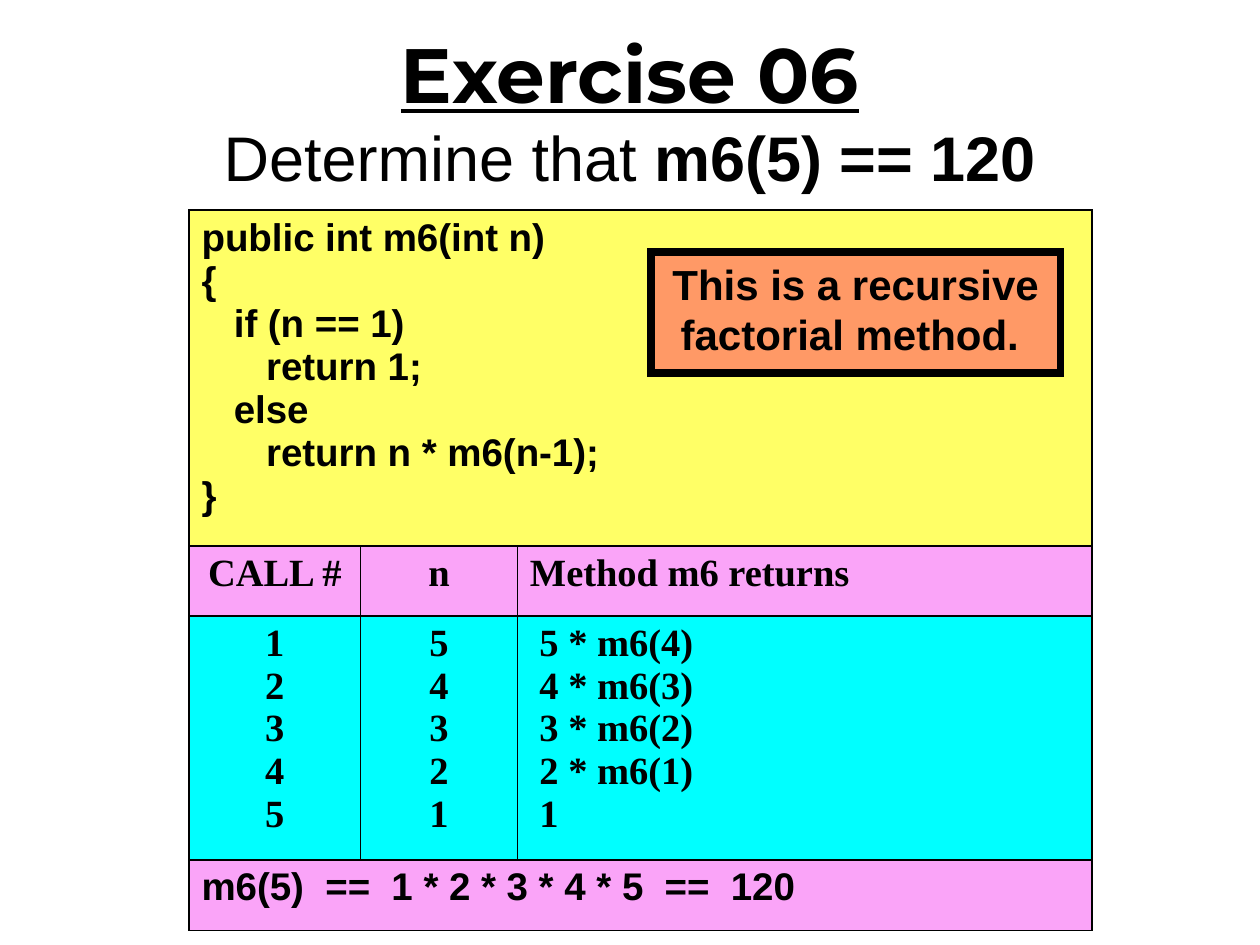
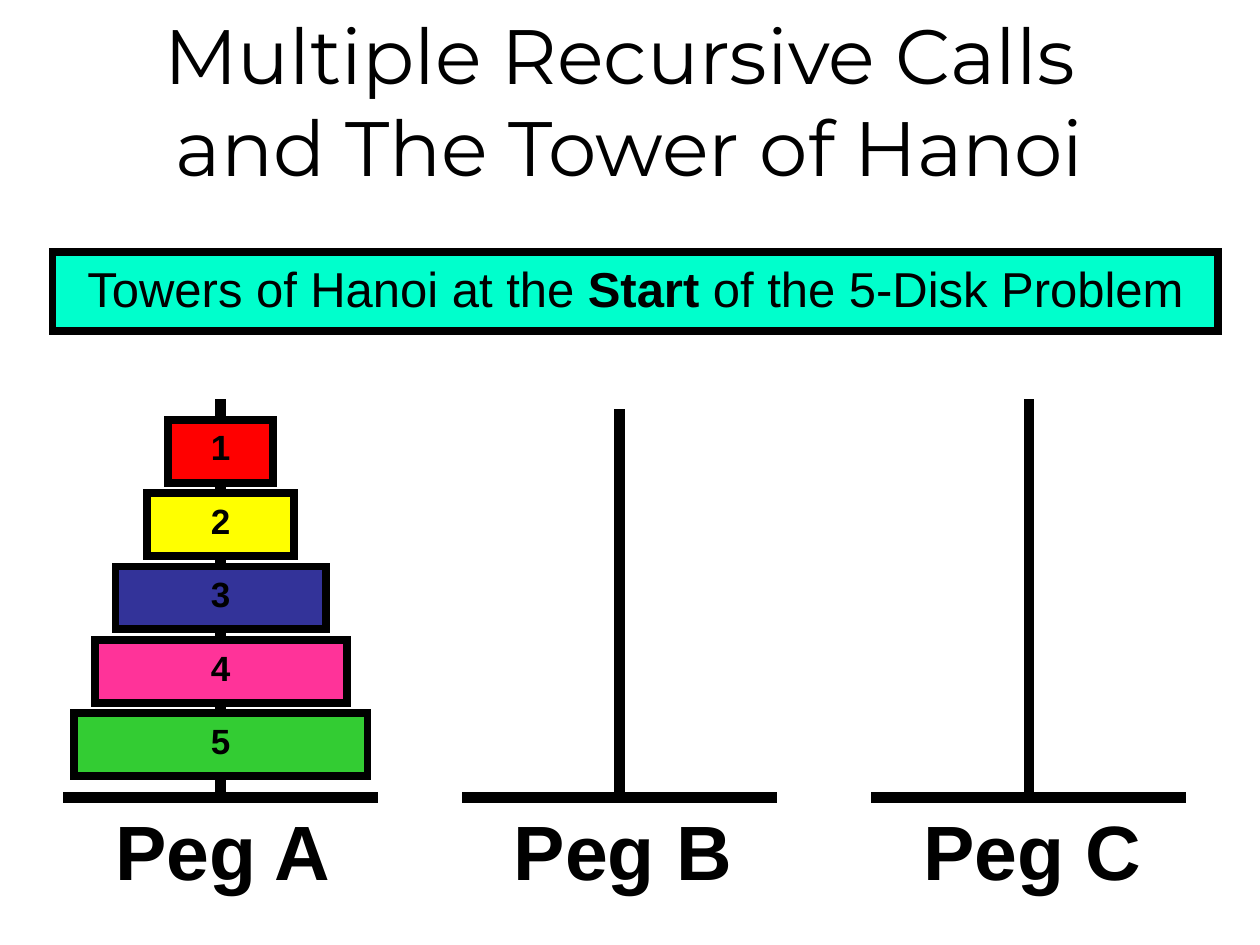
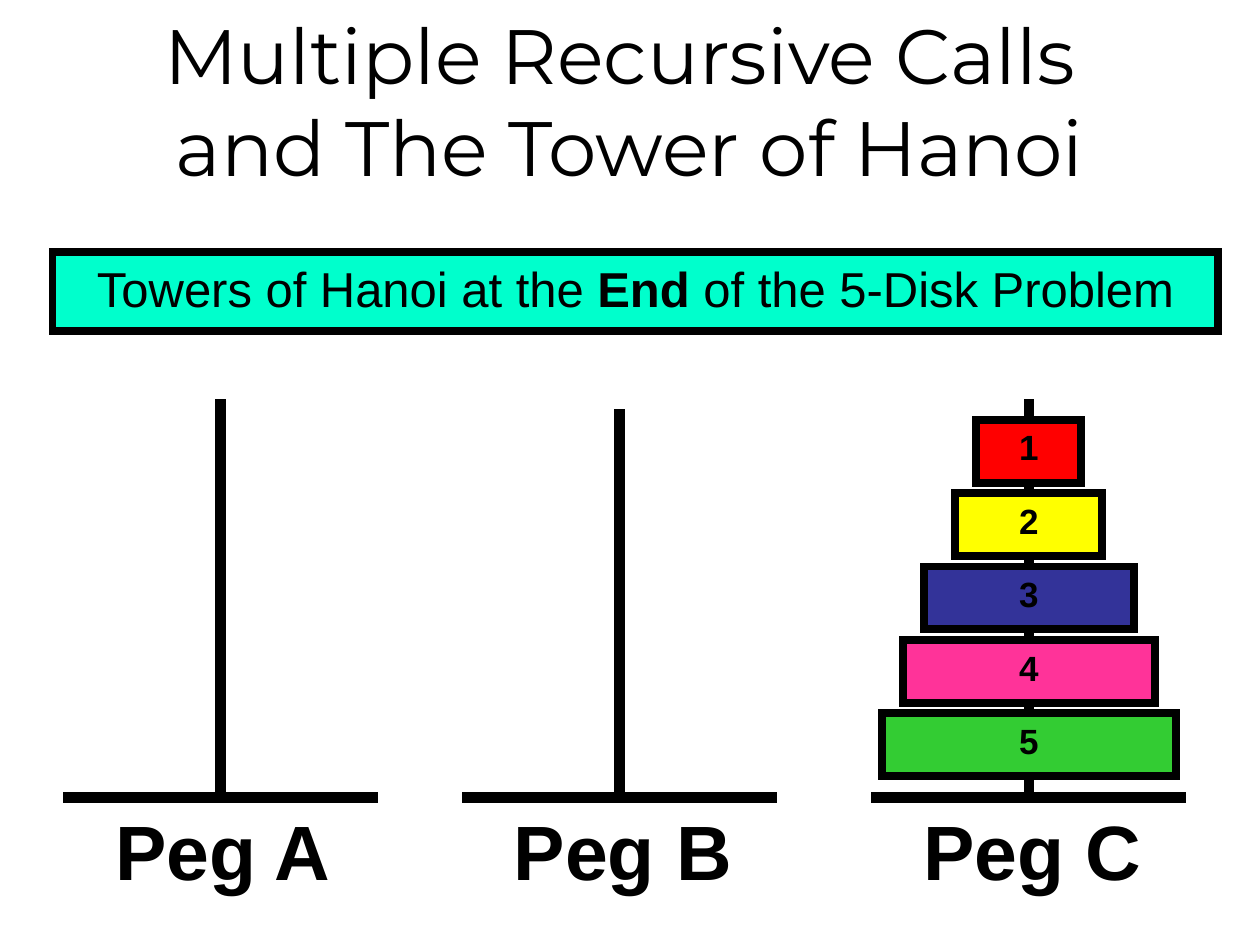
from dataclasses import dataclass

from lxml.etree import SubElement
from pptx import Presentation
from pptx.dml.color import RGBColor
from pptx.enum.shapes import MSO_CONNECTOR, MSO_SHAPE
from pptx.enum.text import MSO_ANCHOR, MSO_AUTO_SIZE, PP_ALIGN
from pptx.oxml import parse_xml
from pptx.oxml.ns import nsdecls, qn
from pptx.util import Cm, Pt


@dataclass(frozen=True)
class Theme:
    title_font: str = "Montserrat"
    body_font: str = "Arial"
    table_font: str = "Times New Roman"
    ink: str = "000000"
    code_fill: str = "FFFF66"
    heading_fill: str = "FAA4F8"
    trace_fill: str = "00FFFF"
    callout_fill: str = "FF9966"
    banner_fill: str = "00FFCC"
    disk_fills: tuple = ("FF0000", "FFFF00", "333399", "FF3399", "33CC33")
    title_size: int = 44
    subtitle_size: int = 36
    banner_size: int = 28
    callout_size: int = 24
    table_size: int = 22
    disk_size: int = 20
    outline: float = 4.5
    peg_line: float = 6
    cell_border: float = 1


THEME = Theme()

CODE_LINES = [
    (0, "public int m6(int n)"),
    (0, "{"),
    (1, "if (n == 1)"),
    (2, "return 1;"),
    (1, "else"),
    (2, "return n * m6(n-1);"),
    (0, "}"),
]
CODE_INDENT = 0.65
RETURNS_INDENT = 0.19

PEG_BASE_Y = 16.08
PEG_BASE_WIDTH = 6.35
PEGS = {"A": (4.45, 8.05), "B": (12.49, 8.25), "C": (20.74, 8.05)}  # centre, top
DISK_WIDTHS = (2.12, 2.96, 4.24, 5.08, 5.92)
DISK_TOP, DISK_STEP, DISK_HEIGHT = 8.46, 1.48, 1.27


def color(value):
    return RGBColor.from_string(value)


def style_font(font, size, name=THEME.body_font, bold=False):
    font.size = Pt(size)
    font.name = name
    font.bold = bold
    font.color.rgb = color(THEME.ink)


def add_runs(paragraph, parts):
    """Add (text, bold) parts whose weight differs within the paragraph."""
    for text, bold in parts:
        run = paragraph.add_run()
        run.text = text
        run.font.bold = bold


def add_title(slide, top):
    """Add the centred title box and return its paragraph."""
    box = slide.shapes.add_textbox(0, Cm(top), Cm(25.4), Cm(3.18))
    frame = box.text_frame
    frame.word_wrap = True
    frame.vertical_anchor = MSO_ANCHOR.MIDDLE
    paragraph = frame.paragraphs[0]
    paragraph.alignment = PP_ALIGN.CENTER
    style_font(paragraph.font, THEME.title_size, THEME.title_font)
    return paragraph


def add_panel(slide, left, top, width, height, fill, size, parts):
    """Add a rectangle with a square-cornered outline and centred text."""
    panel = slide.shapes.add_shape(
        MSO_SHAPE.RECTANGLE, Cm(left), Cm(top), Cm(width), Cm(height))
    panel.shadow.inherit = False
    panel.fill.solid()
    panel.fill.fore_color.rgb = color(fill)
    panel.line.color.rgb = color(THEME.ink)
    panel.line.width = Pt(THEME.outline)
    SubElement(panel._element.spPr.find(qn("a:ln")), qn("a:miter"), lim="800000")
    frame = panel.text_frame
    frame.word_wrap = True
    frame.vertical_anchor = MSO_ANCHOR.TOP
    paragraph = frame.paragraphs[0]
    paragraph.alignment = PP_ALIGN.CENTER
    style_font(paragraph.font, size)
    add_runs(paragraph, parts)


def add_line(slide, start_x, start_y, end_x, end_y):
    line = slide.shapes.add_connector(
        MSO_CONNECTOR.STRAIGHT, Cm(start_x), Cm(start_y), Cm(end_x), Cm(end_y))
    line.line.color.rgb = color(THEME.ink)
    line.line.width = Pt(THEME.peg_line)
    SubElement(line._element.spPr, qn("a:effectLst"))


def set_borders(cell):
    properties = cell._tc.get_or_add_tcPr()
    for index, side in enumerate(("lnL", "lnR", "lnT", "lnB")):
        properties.insert(index, parse_xml(
            f'<a:{side} {nsdecls("a")} w="{Pt(THEME.cell_border)}"><a:solidFill>'
            f'<a:srgbClr val="{THEME.ink}"/></a:solidFill></a:{side}>'))


def fill_cell(cell, lines, font_name, alignment=PP_ALIGN.LEFT):
    """Write (indent in cm, text) lines as paragraphs."""
    frame = cell.text_frame
    for index, (indent, text) in enumerate(lines):
        paragraph = frame.add_paragraph() if index else frame.paragraphs[0]
        paragraph.text = text
        paragraph.alignment = alignment
        if indent:
            paragraph._p.get_or_add_pPr().set("marL", str(Cm(indent)))
        style_font(paragraph.font, THEME.table_size, font_name, bold=True)


def add_trace_table(slide):
    column_widths = (3.46, 3.16, 11.58)
    row_heights = (6.77, 1.42, 4.91, 1.43)
    row_fills = (THEME.code_fill, THEME.heading_fill,
                 THEME.trace_fill, THEME.heading_fill)
    table = slide.shapes.add_table(
        len(row_heights), len(column_widths), Cm(3.81), Cm(4.23),
        Cm(sum(column_widths)), Cm(sum(row_heights))).table
    table.first_row = False
    table.horz_banding = False
    for column, width in zip(table.columns, column_widths):
        column.width = Cm(width)
    for row, height, fill in zip(table.rows, row_heights, row_fills):
        row.height = Cm(height)
        for cell in row.cells:
            cell.fill.solid()
            cell.fill.fore_color.rgb = color(fill)
            set_borders(cell)
    for row in (0, 3):
        table.cell(row, 0).merge(table.cell(row, 2))

    code = [(level * CODE_INDENT, text) for level, text in CODE_LINES]
    fill_cell(table.cell(0, 0), code, THEME.body_font)
    calls = range(1, 6)
    arguments = range(5, 0, -1)
    returns = [f"{n} * m6({n - 1})" if n > 1 else "1" for n in arguments]
    columns = (
        ("CALL #", calls, 0, PP_ALIGN.CENTER),
        ("n", arguments, 0, PP_ALIGN.CENTER),
        ("Method m6 returns", returns, RETURNS_INDENT, PP_ALIGN.LEFT),
    )
    for index, (heading, values, indent, alignment) in enumerate(columns):
        fill_cell(table.cell(1, index), [(0, heading)],
                  THEME.table_font, alignment)
        fill_cell(table.cell(2, index), [(indent, str(value)) for value in values],
                  THEME.table_font, alignment)
    fill_cell(table.cell(3, 0), [(0, "m6(5)  ==  1 * 2 * 3 * 4 * 5  ==  120")],
              THEME.body_font)


def add_peg(slide, name):
    center, top = PEGS[name]
    half_base = PEG_BASE_WIDTH / 2
    add_line(slide, center - half_base, PEG_BASE_Y, center + half_base, PEG_BASE_Y)
    add_line(slide, center, PEG_BASE_Y, center, top)
    label = slide.shapes.add_textbox(
        Cm(center - 2.38), Cm(PEG_BASE_Y), Cm(4.95), Cm(2.12))
    frame = label.text_frame
    frame.word_wrap = False
    frame.auto_size = MSO_AUTO_SIZE.SHAPE_TO_FIT_TEXT
    paragraph = frame.paragraphs[0]
    paragraph.text = f"Peg {name}"
    style_font(paragraph.font, THEME.title_size, bold=True)


def add_disks(slide, peg_name):
    center = PEGS[peg_name][0]
    for index, (width, fill) in enumerate(zip(DISK_WIDTHS, THEME.disk_fills)):
        add_panel(slide, center - width / 2, DISK_TOP + index * DISK_STEP,
                  width, DISK_HEIGHT, fill, THEME.disk_size,
                  [(str(index + 1), True)])


def add_blank_slide(presentation):
    return presentation.slides.add_slide(presentation.slide_layouts[6])


def build_exercise_slide(presentation):
    slide = add_blank_slide(presentation)
    title = add_title(slide, 0.64)
    add_runs(title, [("Exercise 06", True)])
    title.runs[0].font.underline = True
    title.add_line_break()
    add_runs(title, [("Determine that ", False), ("m6(5) == 120", True)])
    for run in title.runs[1:]:
        run.font.size = Pt(THEME.subtitle_size)
        run.font.name = THEME.body_font
    add_trace_table(slide)
    add_panel(slide, 13.12, 5.08, 8.26, 2.44, THEME.callout_fill,
              THEME.callout_size,
              [("This is a recursive factorial method. ", True)])


def build_hanoi_slide(presentation, stage, loaded_peg):
    slide = add_blank_slide(presentation)
    title = add_title(slide, 0.42)
    title.text = "Multiple Recursive Calls \vand The Tower of Hanoi"
    add_panel(slide, 1.06, 5.08, 23.5, 1.6, THEME.banner_fill, THEME.banner_size,
              [("Towers of Hanoi at the ", False), (stage, True),
               (" of the 5-Disk Problem", False)])
    for name in PEGS:
        add_peg(slide, name)
    add_disks(slide, loaded_peg)


def main():
    presentation = Presentation()
    presentation.slide_width = Cm(25.4)
    presentation.slide_height = Cm(19.05)
    build_exercise_slide(presentation)
    build_hanoi_slide(presentation, "Start", "A")
    build_hanoi_slide(presentation, "End", "C")
    presentation.save("out.pptx")


if __name__ == "__main__":
    main()
